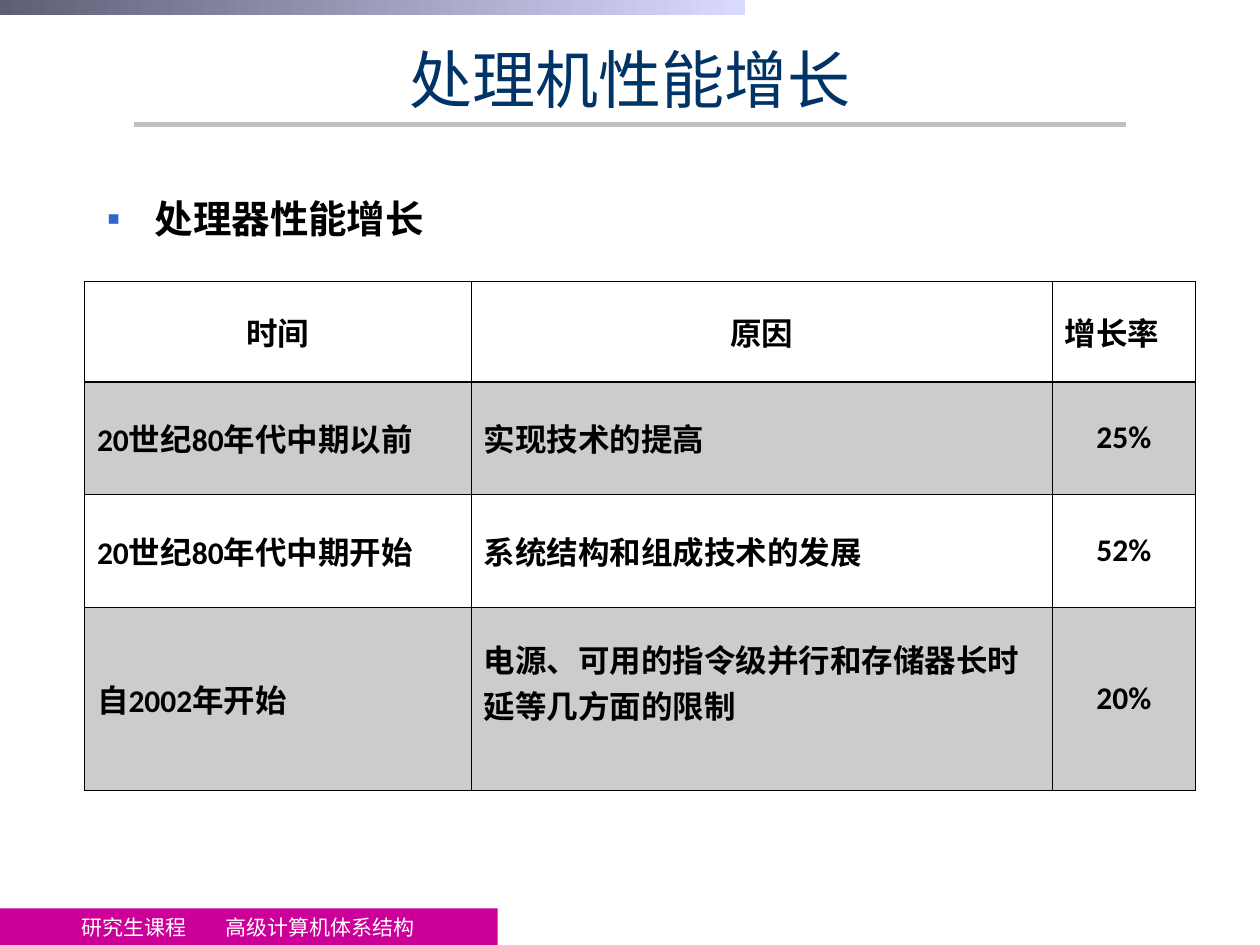
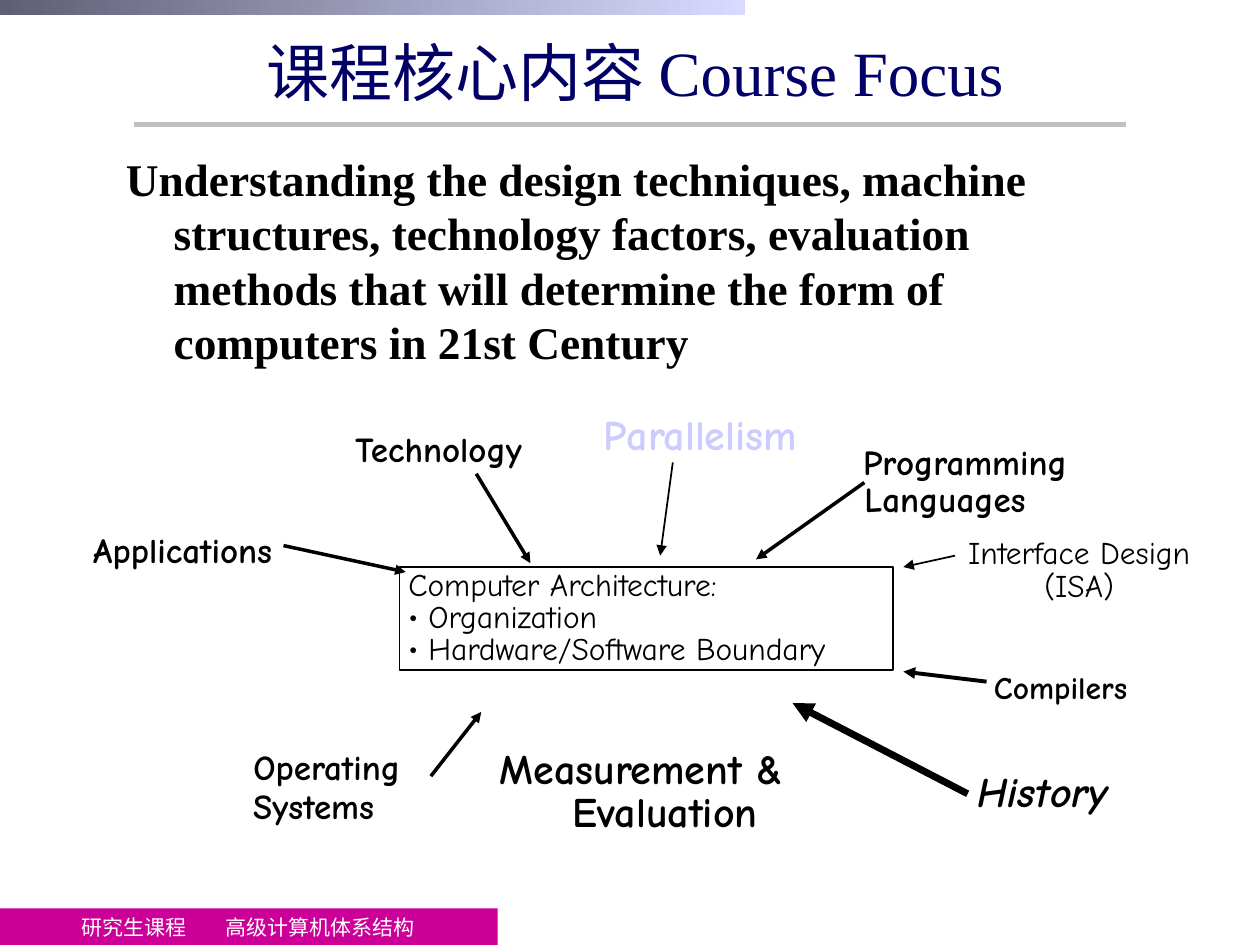
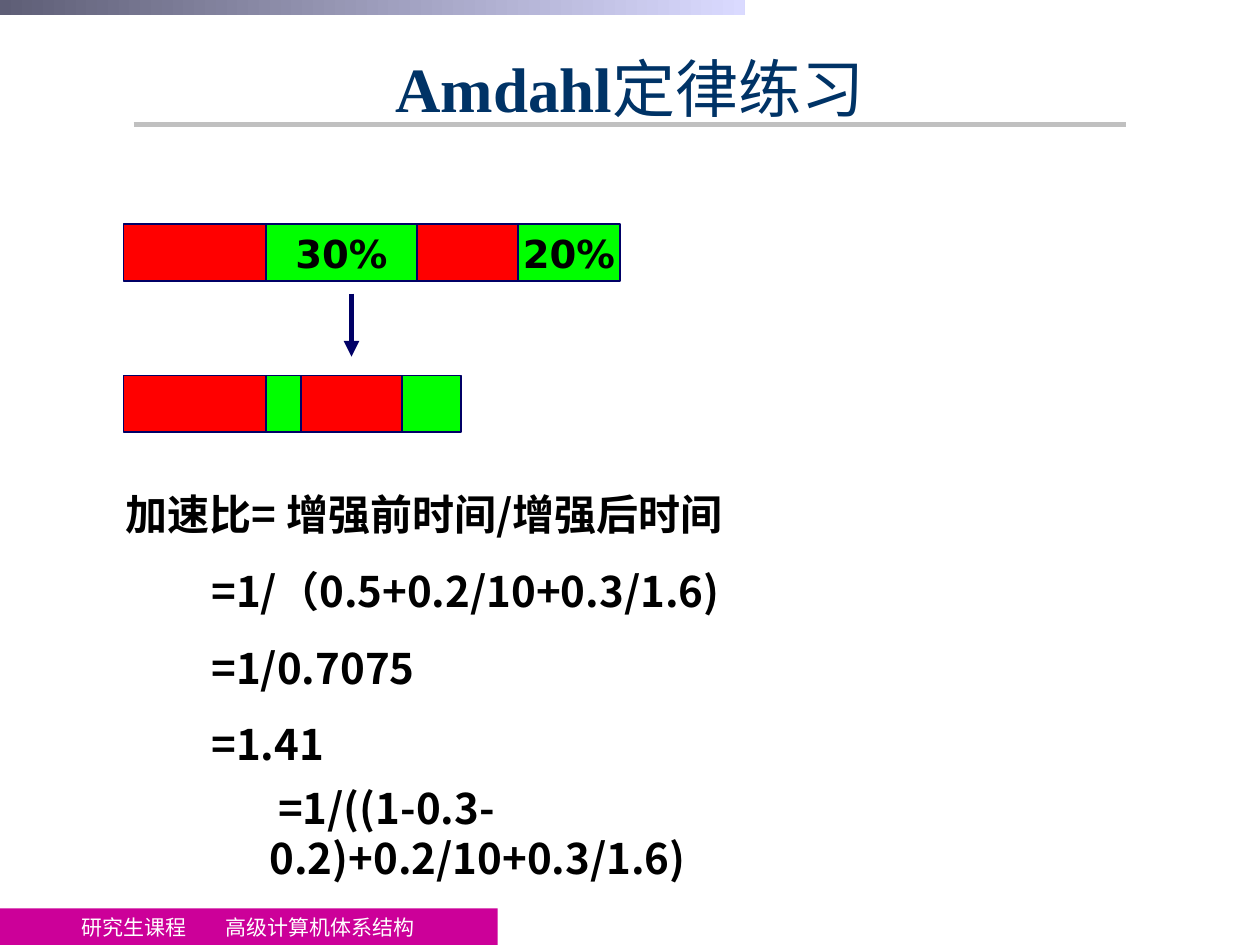
from dataclasses import dataclass

from lxml import etree
from pptx import Presentation
from pptx.dml.color import RGBColor
from pptx.enum.shapes import MSO_CONNECTOR, MSO_SHAPE
from pptx.enum.text import MSO_ANCHOR, PP_ALIGN
from pptx.oxml.ns import qn
from pptx.util import Inches, Pt

RECTANGLE = MSO_SHAPE.RECTANGLE
STRAIGHT = MSO_CONNECTOR.STRAIGHT
TOP, MIDDLE, BOTTOM = MSO_ANCHOR.TOP, MSO_ANCHOR.MIDDLE, MSO_ANCHOR.BOTTOM
LEFT, CENTER = PP_ALIGN.LEFT, PP_ALIGN.CENTER


@dataclass(frozen=True)
class Theme:
    black: str = "000000"
    white: str = "FFFFFF"
    navy: str = "000066"
    title: str = "003366"
    footer: str = "CC0099"
    band_start: str = "5E5E76"
    band_end: str = "DADAFF"
    rule: str = "C0C0C0"
    bullet: str = "3366CC"
    shade: str = "CCCCCC"
    lilac: str = "CCCCFF"
    red: str = "FF0000"
    green: str = "00FF00"
    serif: str = "Times New Roman"
    table: str = "Calibri"
    hand: str = "Comic Neue"
    sans: str = "DejaVu Sans"
    chinese: str = "Noto Sans CJK SC"
    title_size: float = 36
    equation_size: float = 24
    statement_size: float = 25.9
    heading_size: float = 22
    label_size: float = 20
    text_size: float = 18
    footer_size: float = 12


theme = Theme()


def write(frame, lines, size, font, color=theme.black, bold=False, italic=False,
          align=LEFT, anchor=TOP, wrap=True, inset=(0.1, 0.05), spacing=None,
          gap=0, margin=0, indent=0, indent_from=0, bullet="", bullet_color=theme.black,
          bullet_font=theme.serif, tab=None):
    frame.word_wrap = wrap
    frame.vertical_anchor = anchor
    frame.margin_left = frame.margin_right = Inches(inset[0])
    frame.margin_top = frame.margin_bottom = Inches(inset[1])
    for index, line in enumerate(lines):
        para = frame.add_paragraph() if index else frame.paragraphs[0]
        para.text = line
        para.alignment = align
        if spacing:
            para.line_spacing = spacing
        if index and gap:
            para.space_before = Pt(gap)
        properties = para._p.get_or_add_pPr()
        if index >= indent_from and (margin or indent):
            properties.set("marL", str(Inches(margin)))
            properties.set("indent", str(Inches(indent)))
            if bullet:
                color_element = etree.SubElement(properties, qn("a:buClr"))
                etree.SubElement(color_element, qn("a:srgbClr"), val=bullet_color)
                etree.SubElement(properties, qn("a:buFont"), typeface=bullet_font)
                etree.SubElement(properties, qn("a:buChar"), char=bullet)
        if tab:
            tabs = etree.SubElement(properties, qn("a:tabLst"))
            etree.SubElement(tabs, qn("a:tab"), pos=str(Inches(tab)), algn="l")
        para.font.size = Pt(size)
        para.font.name = font
        para.font.bold = bold
        para.font.italic = italic
        para.font.color.rgb = RGBColor.from_string(color)
        etree.SubElement(properties.find(qn("a:defRPr")), qn("a:ea"), typeface=theme.chinese)


def connect(slide, start, end, color, width, arrow=True):
    line = slide.shapes.add_connector(STRAIGHT, *map(Inches, start + end))
    line.line.color.rgb = RGBColor.from_string(color)
    line.line.width = Pt(width)
    properties = line._element.spPr
    if arrow:
        etree.SubElement(properties.find(qn("a:ln")), qn("a:tailEnd"), type="triangle")
    etree.SubElement(properties, qn("a:effectLst"))


deck = Presentation()
deck.slide_width, deck.slide_height = Inches(10), Inches(7.5)

wide_title = (0.75, 0.21, 8.5, 0.83)
titles = [
    ("处理机性能增长", wide_title, theme.title, MIDDLE),
    ("课程核心内容 Course Focus", (1.08, 0.21, 7.92, 0.71), theme.navy, MIDDLE),
    ("", wide_title, theme.title, BOTTOM),
]
title_frames = []
for text, place, color, anchor in titles:
    slide = deck.slides.add_slide(deck.slide_layouts[6])
    footer = slide.shapes.add_shape(RECTANGLE, *map(Inches, (0, 7.21, 3.95, 0.3)))
    footer.shadow.inherit = False
    footer.fill.solid()
    footer.fill.fore_color.rgb = RGBColor.from_string(theme.footer)
    footer.line.fill.background()
    write(footer.text_frame, ["研究生课程\t高级计算机体系结构"], theme.footer_size, theme.serif,
          theme.white, anchor=MIDDLE, inset=(0.65, 0), tab=1.14)
    footer.text_frame.margin_right = 0
    band = slide.shapes.add_shape(RECTANGLE, *map(Inches, (0, 0, 5.91, 0.12)))
    band.shadow.inherit = False
    band.line.fill.background()
    band.fill.gradient()
    band.fill.gradient_angle = 0
    for stop, stop_color in zip(band.fill.gradient_stops, (theme.band_start, theme.band_end)):
        stop.color.rgb = RGBColor.from_string(stop_color)
    connect(slide, (1.06, 0.99), (8.94, 0.99), theme.rule, 2.75, arrow=False)
    title = slide.shapes.add_textbox(*map(Inches, place))
    write(title.text_frame, [text], theme.title_size, theme.serif, color, align=CENTER, anchor=anchor)
    title_frames.append(title.text_frame)

growth, focus, amdahl = deck.slides

heading = growth.shapes.add_textbox(*map(Inches, (0.75, 1.5, 4.17, 0.6)))
write(heading.text_frame, ["处理器性能增长"], theme.heading_size, theme.chinese, bold=True,
      spacing=Pt(26.4), margin=0.38, indent=-0.38, bullet="▪", bullet_color=theme.bullet)

rows = [
    ("时间", "原因", "增长率"),
    ("20世纪80年代中期以前", "实现技术的提高", "25%"),
    ("20世纪80年代中期开始", "系统结构和组成技术的发展", "52%"),
    ("自2002年开始", "电源、可用的指令级并行和存储器长时延等几方面的限制", "20%"),
]
table = growth.shapes.add_table(4, 3, *map(Inches, (0.67, 2.23, 8.82, 4.04))).table
table.first_row = table.horz_banding = False
for column, width in zip(table.columns, (3.07, 4.61, 1.14)):
    column.width = Inches(width)
for row, height in zip(table.rows, (0.8, 0.89, 0.9, 1.45)):
    row.height = Inches(height)
for row_index, texts in enumerate(rows):
    for column_index, text in enumerate(texts):
        cell = table.cell(row_index, column_index)
        centered = (row_index == 0) != (column_index == 2)
        write(cell.text_frame, [text], theme.text_size, theme.table, bold=True,
              align=CENTER if centered else LEFT)
        cell.vertical_anchor = MIDDLE
        cell.margin_left = cell.margin_right = Inches(0.1)
        cell.margin_top = cell.margin_bottom = Inches(0.05)
        for side in ("lnL", "lnR", "lnT", "lnB"):
            below_header = (row_index, side) in ((0, "lnB"), (1, "lnT"))
            border = etree.SubElement(cell._tc.get_or_add_tcPr(), qn(f"a:{side}"),
                                      w=str(Pt(0.96 if below_header else 0.45)))
            border_fill = etree.SubElement(border, qn("a:solidFill"))
            etree.SubElement(border_fill, qn("a:srgbClr"), val=theme.black)
        cell.fill.solid()
        cell.fill.fore_color.rgb = RGBColor.from_string(theme.shade if row_index % 2 else theme.white)
table.cell(3, 1).margin_bottom = Inches(0.32)

statement = focus.shapes.add_textbox(*map(Inches, (0.9, 1.15, 8.19, 1.91)))
write(statement.text_frame,
      ["Understanding the design techniques, machine structures, technology factors, "
       "evaluation methods that will determine the form of computers in 21st Century"],
      theme.statement_size, theme.serif, bold=True, spacing=Pt(31.1), margin=0.38, indent=-0.38)

tight = (0.07, 0.03)
plain_labels = [
    ("Technology", (2.75, 3.36, 1.58, 0.4)),
    ("Programming", (6.78, 3.46, 1.87, 0.4)),
    ("Languages", (6.79, 3.75, 1.52, 0.4)),
    ("Operating", (1.94, 5.88, 1.41, 0.4)),
    ("Systems", (1.94, 6.19, 1.2, 0.4)),
    ("Applications", (0.67, 4.16, 1.66, 0.4)),
]
labels = [([text], place, theme.label_size, dict(bold=True, spacing=1.02))
          for text, place in plain_labels]
labels += [
    (["History"], (7.69, 6.07, 1.3, 0.44), theme.equation_size,
     dict(bold=True, italic=True, spacing=0.97)),
    (["Interface Design", "(ISA)"], (7.56, 4.25, 2.01, 0.57), theme.text_size,
     dict(align=CENTER, spacing=0.85)),
    (["Measurement & Evaluation"], (3.4, 5.92, 3.38, 0.74), theme.equation_size,
     dict(bold=True, align=CENTER, spacing=0.86, margin=0.38, indent=-0.38, wrap=True)),
    (["Parallelism"], (4.72, 3.27, 1.78, 0.4), theme.equation_size,
     dict(bold=True, color=theme.lilac, spacing=0.85)),
    (["Compilers"], (7.79, 5.25, 1.36, 0.4), theme.text_size,
     dict(bold=True, inset=(0.1, 0.05))),
]
for lines, place, size, style in labels:
    label = focus.shapes.add_textbox(*map(Inches, place))
    write(label.text_frame, lines, size, theme.hand, **{"wrap": True, "inset": tight, **style})

architecture = focus.shapes.add_shape(RECTANGLE, *map(Inches, (3.17, 4.5, 3.92, 0.82)))
architecture.shadow.inherit = False
architecture.fill.background()
architecture.line.color.rgb = RGBColor.from_string(theme.black)
architecture.line.width = Pt(1)
write(architecture.text_frame,
      ["Computer Architecture:", "Organization", "Hardware/Software Boundary"],
      theme.text_size, theme.hand, inset=tight, spacing=0.85,
      margin=0.16, indent=-0.16, indent_from=1, bullet="•", bullet_font=theme.hand)

arrows = [
    ((2.25, 4.33), (3.22, 4.54), 2),
    ((3.42, 6.16), (3.82, 5.65), 2),
    ((3.78, 3.76), (4.21, 4.47), 2),
    ((6.86, 3.83), (6, 4.44), 2),
    ((7.68, 6.3), (6.29, 5.58), 4),
    ((7.58, 4.41), (7.17, 4.5), 1),
    ((5.34, 3.67), (5.24, 4.41), 1),
    ((7.83, 5.41), (7.17, 5.33), 2.25),
]
for start, end, width in arrows:
    connect(focus, start, end, theme.black, width)

title_para = title_frames[2].paragraphs[0]
for text, bold in (("Amdahl", True), ("定律练习", False)):
    span = title_para.add_run()
    span.text = text
    span.font.bold = bold

connect(amdahl, (2.79, 2.33), (2.79, 2.83), theme.navy, 3)
time_bars = [
    (1.78, [(1.13, ""), (1.2, "30%"), (0.8, ""), (0.81, "20%")]),
    (2.98, [(1.13, ""), (0.28, ""), (0.8, ""), (0.47, "")]),
]
for top, parts in time_bars:
    left = 0.98
    for index, (width, text) in enumerate(parts):
        part = amdahl.shapes.add_shape(RECTANGLE, *map(Inches, (left, top, width, 0.45)))
        part.shadow.inherit = False
        part.fill.solid()
        part.fill.fore_color.rgb = RGBColor.from_string(theme.green if index % 2 else theme.red)
        part.line.color.rgb = RGBColor.from_string(theme.navy)
        part.line.width = Pt(1)
        if text:
            write(part.text_frame, [text], theme.heading_size, theme.sans, bold=True,
                  align=CENTER, anchor=MIDDLE, wrap=False)
        left += width

equations = amdahl.shapes.add_textbox(*map(Inches, (0.9, 3.83, 6.93, 2.33)))
write(equations.text_frame,
      ["加速比= 增强前时间/增强后时间", "=1/（0.5+0.2/10+0.3/1.6)", "=1/0.7075", "=1.41"],
      theme.equation_size, theme.chinese, bold=True, spacing=Pt(28.8), gap=15,
      margin=0.68, indent_from=1)
expansion = amdahl.shapes.add_textbox(*map(Inches, (2.04, 6.16, 5.06, 0.5)))
write(expansion.text_frame, ["=1/((1-0.3-0.2)+0.2/10+0.3/1.6)"], theme.equation_size,
      theme.chinese, bold=True, spacing=Pt(28.8), indent=0.07)

deck.save("out.pptx")
